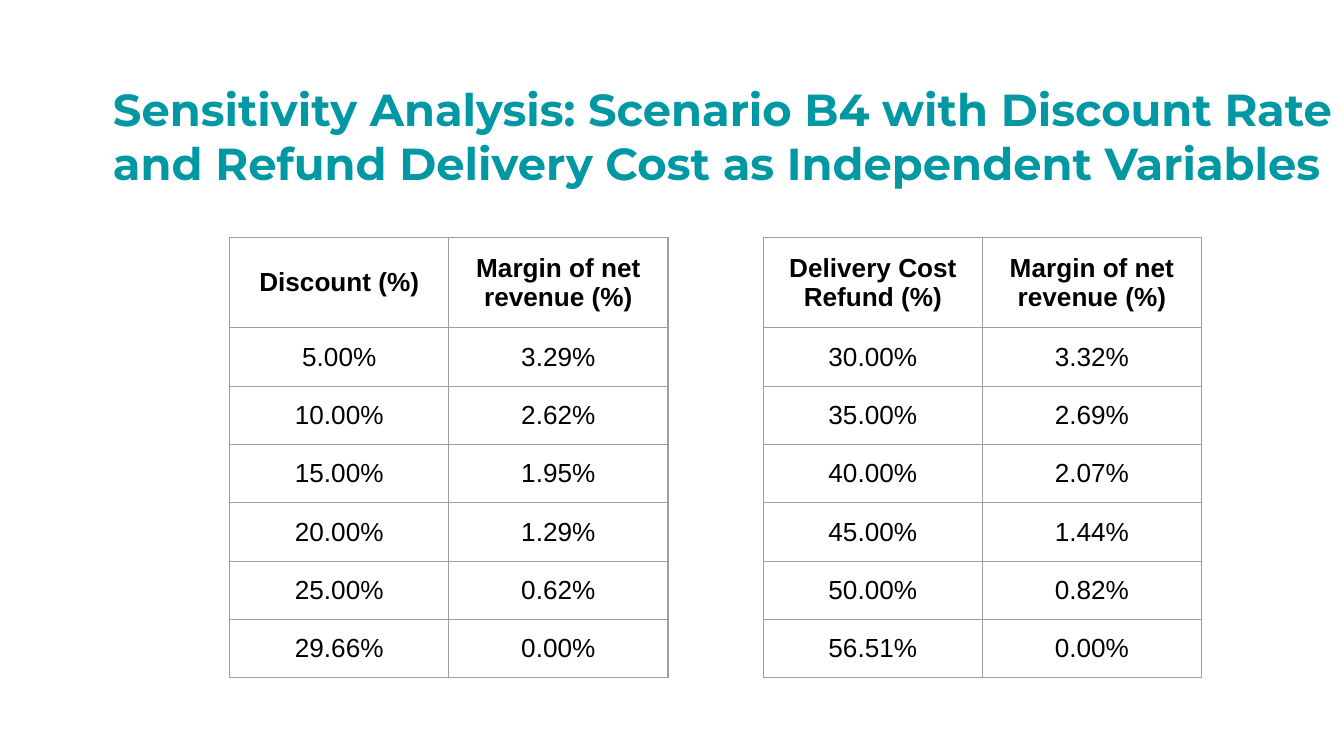
from lxml import etree
from pptx import Presentation
from pptx.dml.color import RGBColor
from pptx.enum import text
from pptx.oxml import ns
from pptx.util import Inches, Pt

TEAL = RGBColor(0x01, 0x98, 0xA3)
BLACK = RGBColor(0, 0, 0)
GREY = RGBColor(0x9E, 0x9E, 0x9E)

TITLE = ("Sensitivity Analysis: Scenario B4 with Discount Rate "
         "and Refund Delivery Cost as Independent Variables")
MARGIN_HEADER = "Margin of net revenue (%)"
DISCOUNT_ROWS = [
    ("Discount (%)", MARGIN_HEADER),
    ("5.00%", "3.29%"),
    ("10.00%", "2.62%"),
    ("15.00%", "1.95%"),
    ("20.00%", "1.29%"),
    ("25.00%", "0.62%"),
    ("29.66%", "0.00%"),
]
REFUND_ROWS = [
    ("Delivery Cost Refund (%)", MARGIN_HEADER),
    ("30.00%", "3.32%"),
    ("35.00%", "2.69%"),
    ("40.00%", "2.07%"),
    ("45.00%", "1.44%"),
    ("50.00%", "0.82%"),
    ("56.51%", "0.00%"),
]
HEADER_HEIGHT = 0.67


def style_font(font, name, size, color, bold):
    font.name = name
    font.size = Pt(size)
    font.color.rgb = color
    font.bold = bold


def add_title(page, left, top, width, height):
    title = page.shapes.title
    title.left, title.top = Inches(left), Inches(top)
    title.width, title.height = Inches(width), Inches(height)
    frame = title.text_frame
    frame.text = TITLE
    frame.word_wrap = True
    frame.auto_size = text.MSO_AUTO_SIZE.SHAPE_TO_FIT_TEXT
    frame.vertical_anchor = text.MSO_ANCHOR.TOP
    frame.margin_left = frame.margin_right = Inches(0.07)
    frame.margin_top = frame.margin_bottom = Inches(0.04)
    para = frame.paragraphs[0]
    para.alignment = text.PP_ALIGN.LEFT
    para.line_spacing = 1.0
    style_font(para.runs[0].font, "Montserrat", 24, TEAL, True)


def add_borders(cell):
    properties = cell._tc.get_or_add_tcPr()
    for side in ("a:lnL", "a:lnR", "a:lnT", "a:lnB"):
        line = etree.SubElement(properties, ns.qn(side), w=str(Pt(0.75)))
        fill = etree.SubElement(line, ns.qn("a:solidFill"))
        etree.SubElement(fill, ns.qn("a:srgbClr"), val=str(GREY))


def format_cell(cell, content, bold):
    cell.text = content
    cell.vertical_anchor = text.MSO_ANCHOR.MIDDLE
    cell.margin_left = cell.margin_right = Inches(0.1)
    cell.margin_top = cell.margin_bottom = Inches(0.1)
    add_borders(cell)
    cell.fill.background()
    para = cell.text_frame.paragraphs[0]
    para.alignment = text.PP_ALIGN.CENTER
    style_font(para.runs[0].font, "Arial", 14, BLACK, bold)


def add_margin_table(page, rows, left, top, width, height):
    column_count = len(rows[0])
    table = page.shapes.add_table(
        len(rows), column_count,
        Inches(left), Inches(top), Inches(width), Inches(height)).table
    table.first_row = table.horz_banding = False

    # Equal columns; a taller header above equal value rows
    for column in table.columns:
        column.width = Inches(width / column_count)
    row_height = (height - HEADER_HEIGHT) / (len(rows) - 1)
    for index, row in enumerate(table.rows):
        row.height = Inches(row_height if index else HEADER_HEIGHT)
        for cell, content in zip(row.cells, rows[index]):
            format_cell(cell, content, bold=index == 0)


def main():
    # Widescreen page, 16:9
    deck = Presentation()
    deck.slide_width = Inches(10)
    deck.slide_height = deck.slide_width * 9 // 16
    page = deck.slides.add_slide(deck.slide_layouts[5])

    # Heading
    add_title(page, 0.77, 0.57, 9.23, 0.88)

    # Discount table on the left, delivery refund table on the right
    for left, rows in ((1.71, DISCOUNT_ROWS), (5.68, REFUND_ROWS)):
        add_margin_table(page, rows, left, 1.77, 3.26, 3.26)

    deck.save("out.pptx")


if __name__ == "__main__":
    main()
